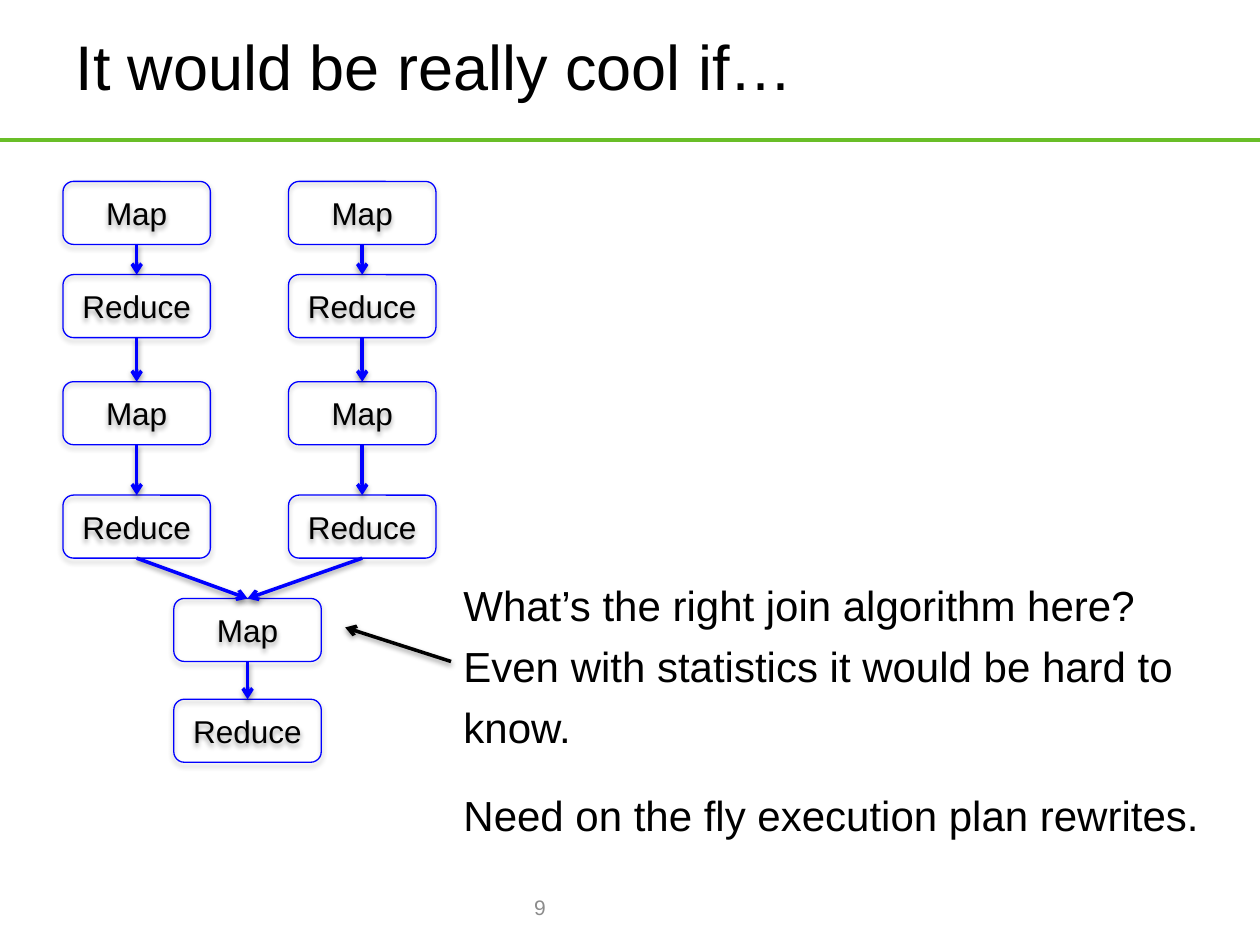
from dataclasses import dataclass
from itertools import pairwise

import pptx
import pptx.dml.color
import pptx.enum.shapes
import pptx.enum.text
import pptx.oxml
import pptx.oxml.ns
import pptx.util
from pptx.util import Inches, Pt

ALIGN = pptx.enum.text.PP_ALIGN
ANCHOR = pptx.enum.text.MSO_ANCHOR


@dataclass(frozen=True)
class Theme:
    font: str = "Arial"
    text: str = "000000"
    flow: str = "0000FF"
    rule: str = "69BE28"
    muted: str = "8C8C8C"
    title_size: int = 36
    body_size: int = 24
    box_size: int = 18
    number_size: int = 12
    outline: float = 0.75
    stroke: float = 2


@dataclass(frozen=True)
class Box:
    left: float
    top: float
    width: float
    height: float

    def inches(self) -> tuple:
        return tuple(Inches(v) for v in (self.left, self.top, self.width, self.height))


@dataclass(frozen=True)
class Shadow:
    """Downward shadow; distance in points, opacity in percent."""
    distance: float
    opacity: int


THEME = Theme()
BOX_SHADOW = Shadow(1.8, 35)
LINE_SHADOW = Shadow(1.6, 38)
SLIDE_WIDTH, SLIDE_HEIGHT = 10, 7.5
BOX_WIDTH, BOX_HEIGHT = 1.17, 0.5
BRANCH_COLUMNS = (0.5, 2.29)
JOIN_COLUMN = 1.38
BRANCH_ROWS = (1.44, 2.18, 3.03, 3.93)
JOIN_ROWS = (4.75, 5.55)
STEPS = ("Map", "Reduce")


def color(value: str):
    return pptx.dml.color.RGBColor.from_string(value)


def format_paragraph(paragraph, size: int, ink: str = THEME.text, align=ALIGN.LEFT) -> None:
    paragraph.alignment = align
    paragraph.font.name = THEME.font
    paragraph.font.size = Pt(size)
    paragraph.font.color.rgb = color(ink)


def set_effects(shape, shadow: Shadow | None) -> None:
    """Append the effect list, which must follow the line settings."""
    outer = ""
    if shadow:
        outer = (
            f'<a:outerShdw blurRad="{Pt(3.1)}" dist="{Pt(shadow.distance)}" dir="5400000" '
            f'rotWithShape="0"><a:srgbClr val="000000">'
            f'<a:alpha val="{shadow.opacity * 1000}"/></a:srgbClr></a:outerShdw>'
        )
    namespace = pptx.oxml.ns.nsdecls("a")
    effects = pptx.oxml.parse_xml(f"<a:effectLst {namespace}>{outer}</a:effectLst>")
    shape._element.spPr.append(effects)


def add_line(slide, start: tuple, end: tuple, ink: str, arrow: bool = True):
    points = [Inches(v) for v in (*start, *end)]
    line = slide.shapes.add_connector(pptx.enum.shapes.MSO_CONNECTOR.STRAIGHT, *points)
    line.line.color.rgb = color(ink)
    line.line.width = Pt(THEME.stroke)
    if arrow:
        namespace = pptx.oxml.ns.nsdecls("a")
        head = pptx.oxml.parse_xml(f'<a:tailEnd {namespace} type="arrow"/>')
        line.line._get_or_add_ln().append(head)
    set_effects(line, LINE_SHADOW if arrow else None)
    return line


def add_step(slide, label: str, left: float, top: float):
    place = Box(left, top, BOX_WIDTH, BOX_HEIGHT)
    shape = slide.shapes.add_shape(
        pptx.enum.shapes.MSO_SHAPE.ROUNDED_RECTANGLE, *place.inches())
    shape.fill.background()
    shape.line.color.rgb = color(THEME.flow)
    shape.line.width = Pt(THEME.outline)
    set_effects(shape, BOX_SHADOW)
    frame = shape.text_frame
    frame.text = label
    frame.vertical_anchor = ANCHOR.MIDDLE
    format_paragraph(frame.paragraphs[0], THEME.box_size, align=ALIGN.CENTER)
    return shape


def link(slide, upper, lower) -> None:
    """Join the bottom of one step to the top of the next."""
    arrow = add_line(slide, (0, 0), (1, 1), THEME.flow)
    arrow.begin_connect(upper, 2)
    arrow.end_connect(lower, 0)


def add_chain(slide, left: float, rows: tuple) -> list:
    steps = [add_step(slide, STEPS[i % 2], left, top) for i, top in enumerate(rows)]
    for upper, lower in pairwise(steps):
        link(slide, upper, lower)
    return steps


def add_text(slide, place: Box, lines: tuple, size: int, ink: str = THEME.text,
             align=ALIGN.LEFT, anchor=ANCHOR.TOP) -> None:
    frame = slide.shapes.add_textbox(*place.inches()).text_frame
    frame.word_wrap = True
    frame.vertical_anchor = anchor
    frame.text = "\n".join(lines)
    for index, paragraph in enumerate(frame.paragraphs):
        format_paragraph(paragraph, size, ink, align)
        if index:
            paragraph.space_before = Pt(6)


def set_title(slide, text: str) -> None:
    title = slide.shapes.title
    title.left, title.top, title.width, title.height = Box(0.5, 0.17, 8.79, 1.17).inches()
    frame = title.text_frame
    frame.text = text
    frame.auto_size = pptx.enum.text.MSO_AUTO_SIZE.NONE
    frame.vertical_anchor = ANCHOR.TOP
    format_paragraph(frame.paragraphs[0], THEME.title_size)


def main() -> None:
    presentation = pptx.Presentation()
    presentation.slide_width = Inches(SLIDE_WIDTH)
    presentation.slide_height = Inches(SLIDE_HEIGHT)
    slide = presentation.slides.add_slide(presentation.slide_layouts[5])

    set_title(slide, "It would be really cool if…")
    add_line(slide, (0, 1.11), (SLIDE_WIDTH, 1.11), THEME.rule, arrow=False)
    add_text(slide, Box(3.12, 6.98, 2.33, 0.44), ("9",), THEME.number_size,
             THEME.muted, ALIGN.CENTER, ANCHOR.MIDDLE)

    branches = [add_chain(slide, left, BRANCH_ROWS) for left in BRANCH_COLUMNS]
    join = add_chain(slide, JOIN_COLUMN, JOIN_ROWS)
    for branch in branches:
        link(slide, branch[-1], join[0])

    add_text(slide, Box(3.58, 4.55, 6.1, 1.5),
             ("What’s the right join algorithm here?",
              "Even with statistics it would be hard to",
              "know."), THEME.body_size)
    add_line(slide, (3.58, 5.25), (2.74, 4.98), THEME.text)
    add_text(slide, Box(3.58, 6.22, 6.1, 0.5),
             ("Need on the fly execution plan rewrites.",), THEME.body_size)
    presentation.save("out.pptx")


if __name__ == "__main__":
    main()
